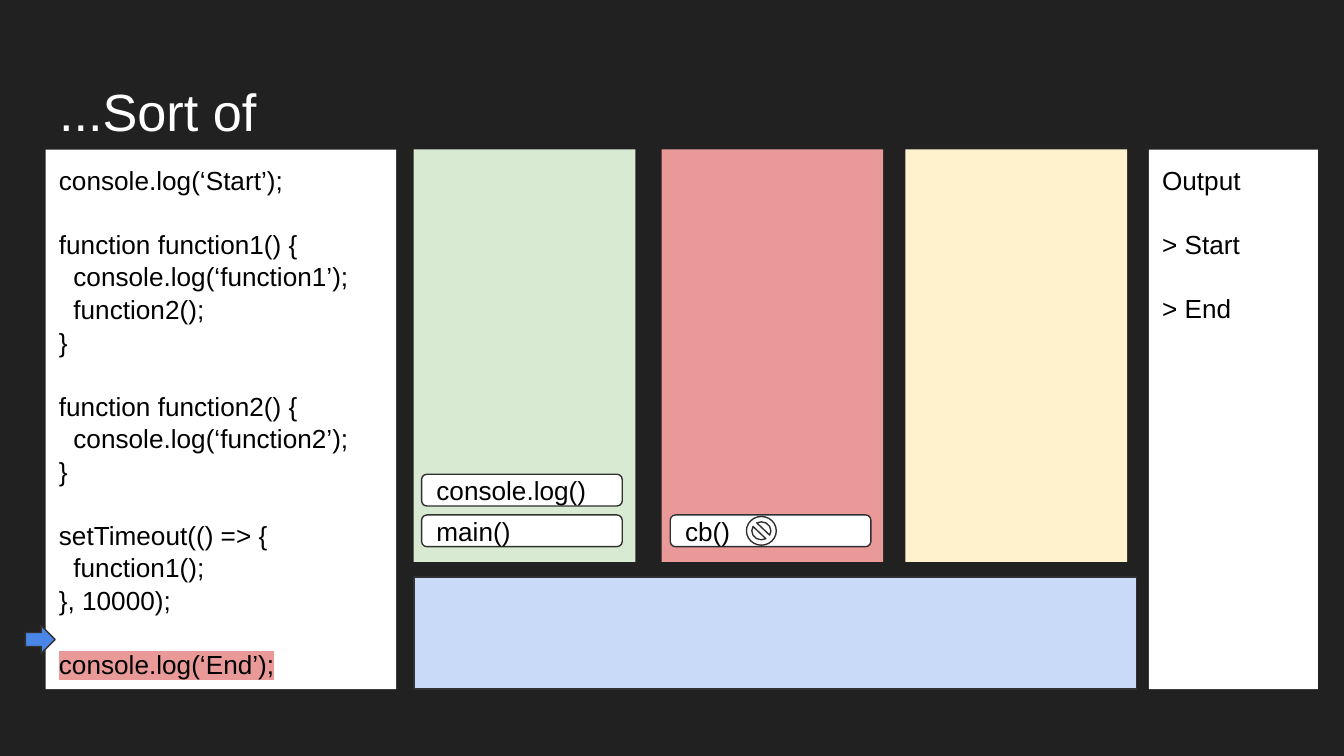
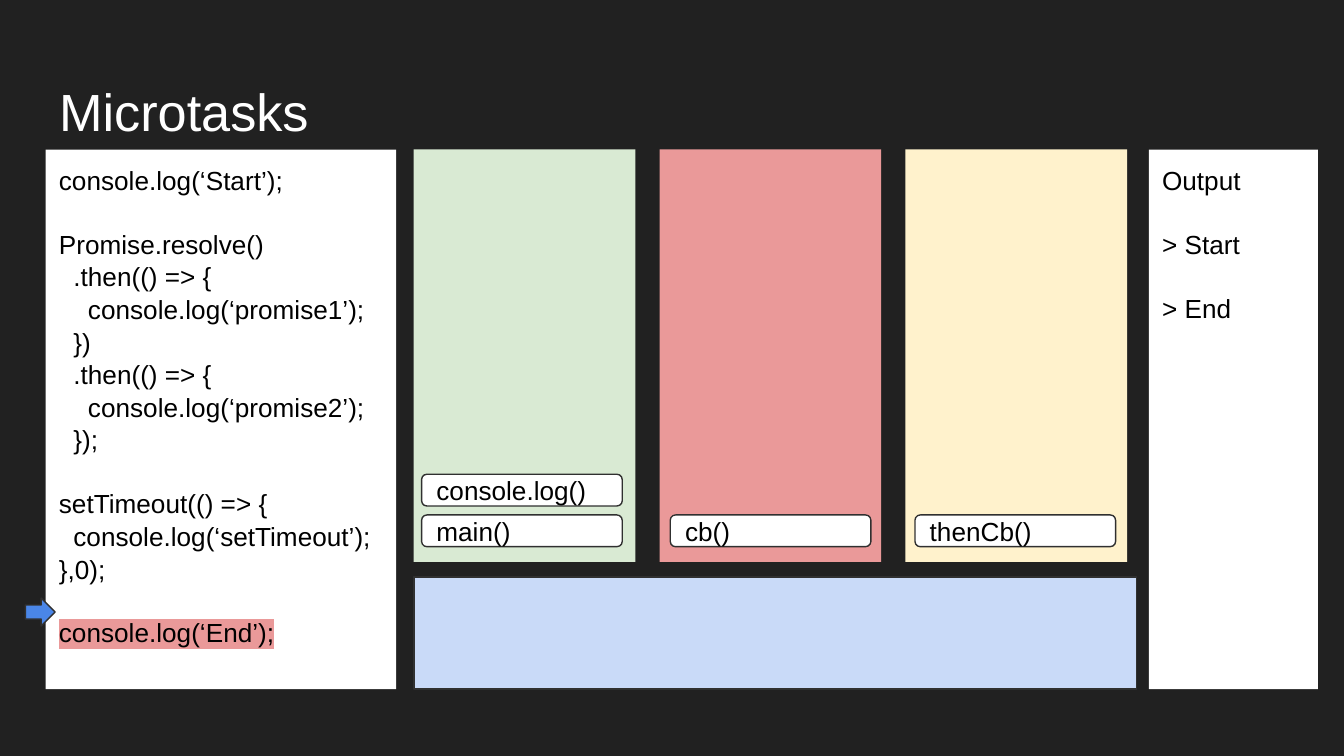
from lxml import etree
from pptx import Presentation
from pptx.dml.color import RGBColor
from pptx.enum.shapes import MSO_SHAPE
from pptx.enum.text import MSO_ANCHOR, MSO_AUTO_SIZE, PP_ALIGN
from pptx.oxml.ns import qn
from pptx.util import Pt

RECT, PILL = MSO_SHAPE.RECTANGLE, MSO_SHAPE.ROUNDED_RECTANGLE
ARROW, BLOCKED = MSO_SHAPE.RIGHT_ARROW, MSO_SHAPE.NO_SYMBOL
TOP, MIDDLE, LEFT = MSO_ANCHOR.TOP, MSO_ANCHOR.MIDDLE, PP_ALIGN.LEFT

COLORS = {
    "back": "212121", "white": "FFFFFF", "black": "000000", "outline": "303030",
    "green": "D9EAD3", "red": "EA9999", "yellow": "FFF2CC", "blue": "C9DAF8",
    "arrow": "4A86E8",
}
FONT = "Arial"
LINE_SPACING = 1.04
BLANK_LINE = 16.8     # height of one line of code
INDENT = 7.78         # one level of code indent
PANEL_TOP, PANEL_H = 80.1, 289.1
COLUMN_W, COLUMN_H = 118.8, 221
PILL_X = {"green": 225.9, "red": 359.1, "yellow": 490.2}
PILL_Y, PILL_STEP = 275.9, 21.8


def rgb(name):
    return RGBColor.from_string(COLORS[name])


class Deck:
    """Holds the style and the current slide."""

    def __init__(self):
        self.prs = Presentation()
        self.prs.slide_width, self.prs.slide_height = Pt(720), Pt(405)
        self.s = None

    def new_slide(self, title):
        self.s = self.prs.slides.add_slide(self.prs.slide_layouts[5])
        fill = self.s.background.fill
        fill.solid()
        fill.fore_color.rgb = rgb("back")
        sp = self.s.shapes.title
        place = {"left": 24.5, "top": 35.3, "width": 671, "height": 45.1}
        for name, value in place.items():
            setattr(sp, name, Pt(value))
        self.set_text(sp, [(0, title)], size=28, color="white", spacing=1.0)

    def set_text(self, sp, lines, size=14, color="black", anchor=TOP,
                 spacing=LINE_SPACING, marked=None):
        """Set (indent level, text) pairs; None stands for a blank line."""
        tf = sp.text_frame
        frame = {"word_wrap": True, "auto_size": MSO_AUTO_SIZE.NONE, "vertical_anchor": anchor}
        frame.update({f"margin_{side}": Pt(7.2) for side in ("left", "top", "right", "bottom")})
        for name, value in frame.items():
            setattr(tf, name, value)
        p, gap = tf.paragraphs[0], 0
        for i, line in enumerate(lines):
            if line is None:
                gap = BLANK_LINE
                continue
            level, text = line
            if i:
                p = tf.add_paragraph()
            for name, value in {"alignment": LEFT, "line_spacing": spacing,
                                "space_before": Pt(gap), "space_after": Pt(0)}.items():
                setattr(p, name, value)
            if level:
                p._p.get_or_add_pPr().set("marL", str(Pt(level * INDENT)))
            r = p.add_run()
            r.text = text
            for name, value in {"name": FONT, "size": Pt(size), "bold": False}.items():
                setattr(r.font, name, value)
            r.font.color.rgb = rgb(color)
            if text == marked:
                self.highlight(r, "red")
            gap = 0

    def highlight(self, r, color):
        mark = etree.Element(qn("a:highlight"))
        etree.SubElement(mark, qn("a:srgbClr")).set("val", COLORS[color])
        r.font._element.find(qn("a:solidFill")).addnext(mark)

    def shape(self, kind, x, y, w, h, fill, outlined=False, adjust=None):
        sp = self.s.shapes.add_shape(kind, Pt(x), Pt(y), Pt(w), Pt(h))
        sp.shadow.inherit = False
        sp.fill.solid()
        sp.fill.fore_color.rgb = rgb(fill)
        if outlined:
            sp.line.color.rgb = rgb("outline")
            sp.line.width = Pt(0.75)
        else:
            sp.line.fill.background()
        if adjust is not None:
            sp.adjustments[0] = adjust
        return sp

    def text_panel(self, x, w, lines, marked=None):
        sp = self.shape(RECT, x, PANEL_TOP, w, PANEL_H, "white")
        self.set_text(sp, lines, marked=marked)

    def column(self, x, fill):
        self.shape(RECT, x, PANEL_TOP, COLUMN_W, COLUMN_H, fill)

    def task(self, column, text, level=0):
        y = PILL_Y - level * PILL_STEP
        sp = self.shape(PILL, PILL_X[column], y, 107.5, 17, "white", True, 0.167)
        self.set_text(sp, [(0, text)], anchor=MIDDLE, spacing=1.0)

    def pointer(self, y):
        self.shape(ARROW, 13.6, y, 16, 15, "arrow", True, 0.5)

    def blocked_sign(self):
        self.shape(BLOCKED, 399.9, 276.7, 16, 15.4, "white", True, 0.188)

    def event_loop(self, title, code, red_x, pointer_y, tasks):
        """A slide with code, three columns, the loop bar and the output."""
        self.new_slide(title)
        self.text_panel(24.5, 187.7, code, marked=END_CALL)
        self.text_panel(615.5, 90.6, OUTPUT)
        for x, fill in ((221.6, "green"), (red_x, "red"), (485, "yellow")):
            self.column(x, fill)
        self.shape(RECT, 221.8, 309.2, 387, 60, "blue", True)
        self.pointer(pointer_y)
        for task in tasks:
            self.task(*task)


END_CALL = "console.log(‘End’);"
OUTPUT = [(0, "Output"), None, (0, "> Start"), None, (0, "> End")]
STACK = [("green", "main()"), ("green", "console.log()", 1), ("red", "cb()")]

TIMER_CODE = [
    (0, "console.log(‘Start’);"), None,
    (0, "function function1() {"),
    (1, "console.log(‘function1’);"),
    (1, "function2();"),
    (0, "}"), None,
    (0, "function function2() {"),
    (1, "console.log(‘function2’);"),
    (0, "}"), None,
    (0, "setTimeout(() => {"),
    (1, "function1();"),
    (0, "}, 10000);"), None,
    (0, END_CALL),
]
PROMISE_CODE = [
    (0, "console.log(‘Start’);"), None,
    (0, "Promise.resolve()"),
    (1, ".then(() => {"),
    (2, "console.log(‘promise1’);"),
    (1, "})"),
    (1, ".then(() => {"),
    (2, "console.log(‘promise2’);"),
    (1, "});"), None,
    (0, "setTimeout(() => {"),
    (1, "console.log(‘setTimeout’);"),
    (0, "},0);"), None,
    (0, END_CALL),
]

deck = Deck()

# Slide 1: the timer callback is still blocked
deck.event_loop("...Sort of", TIMER_CODE, 354.4, 335.1, STACK)
deck.blocked_sign()

# Slide 2: microtasks wait in their own column
deck.event_loop("Microtasks", PROMISE_CODE, 353.3, 320.4, STACK + [("yellow", "thenCb()")])

deck.prs.save("out.pptx")
